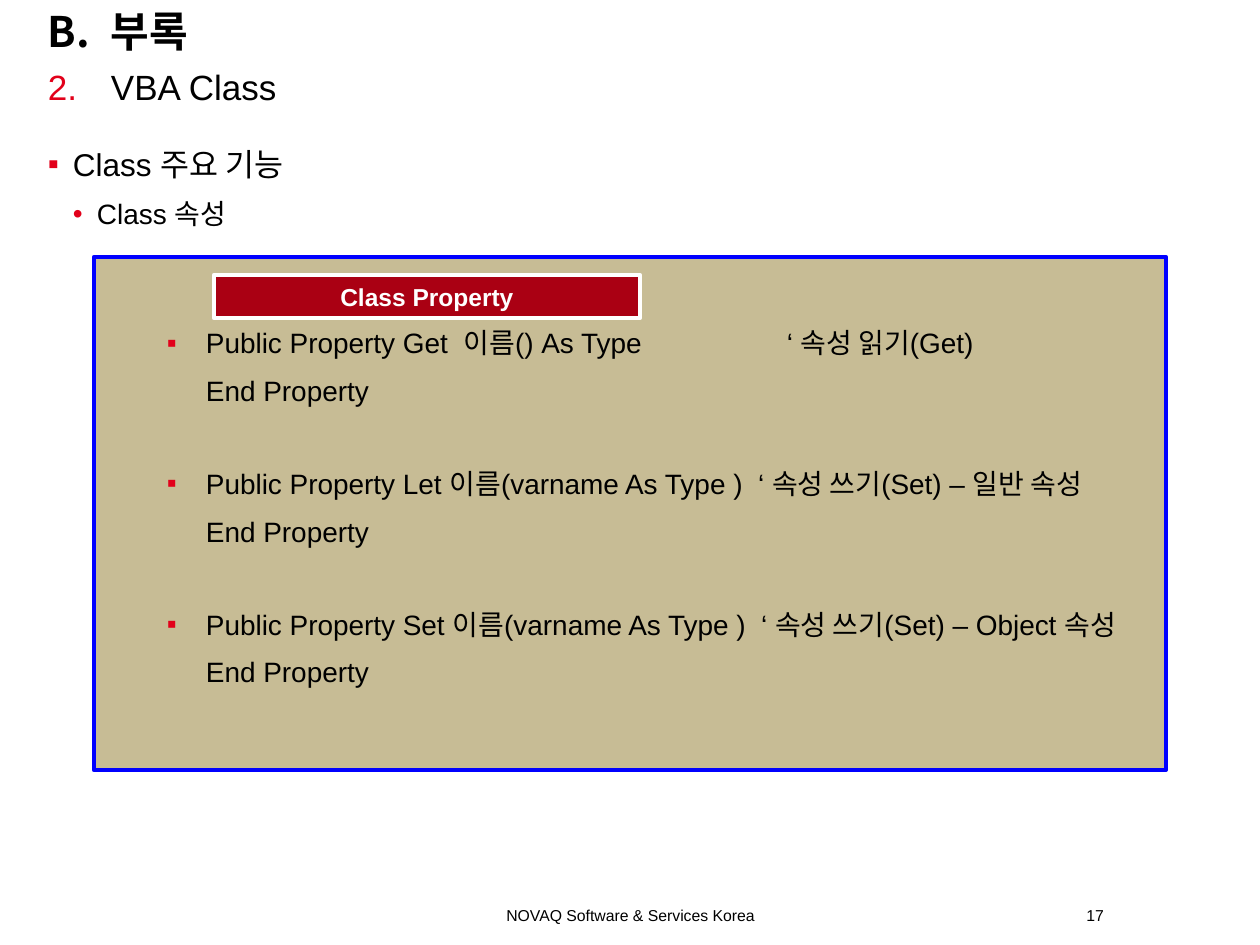
from dataclasses import dataclass

from lxml import etree
from pptx import Presentation
from pptx.dml.color import RGBColor
from pptx.enum.shapes import MSO_SHAPE
from pptx.enum.text import MSO_ANCHOR, PP_ALIGN
from pptx.oxml.ns import qn
from pptx.util import Emu, Pt

RECT = MSO_SHAPE.RECTANGLE
TOP, MIDDLE = MSO_ANCHOR.TOP, MSO_ANCHOR.MIDDLE
LEFT, CENTER, RIGHT = PP_ALIGN.LEFT, PP_ALIGN.CENTER, PP_ALIGN.RIGHT
SCALE = 914400 // 126


@dataclass(frozen=True)
class Theme:
    font: str = "Arial"
    ink: str = "000000"
    white: str = "FFFFFF"
    accent: str = "E2001A"
    tan: str = "C7BC95"
    blue: str = "0000FF"
    red: str = "AA0013"
    title: int = 24
    head: int = 20
    topic: int = 18
    code: int = 16
    label: int = 14
    foot: int = 9
    edge: float = 2.5
    gap: int = 4


THEME = Theme()
CODE = (
    ("Public Property Get  이름() As Type\t‘ 속성 읽기(Get)", 683),
    ("Public Property Let 이름(varname As Type )  ‘ 속성 쓰기(Set) – 일반 속성", None),
    ("Public Property Set 이름(varname As Type )  ‘ 속성 쓰기(Set) – Object 속성", None),
)


def px(n):
    return Emu(n * SCALE)


def rgb(code):
    return RGBColor.from_string(code)


def add_tag(node, tag, **attrs):
    return etree.SubElement(node, qn(tag), {k: str(v) for k, v in attrs.items()})


def set_bullet(props, mark, color):
    """Set a sign, or an automatic number given as (scheme, start)."""
    add_tag(add_tag(props, "a:buClr"), "a:srgbClr", val=color)
    add_tag(props, "a:buFont", typeface=THEME.font)
    if isinstance(mark, tuple):
        add_tag(props, "a:buAutoNum", type=mark[0], startAt=mark[1])
    else:
        add_tag(props, "a:buChar", char=mark)


def add_text(frame, text, size=THEME.code, color=THEME.ink, bold=False,
             align=LEFT, before=THEME.gap, after=THEME.gap, margin=0, hang=0,
             mark=None, tint=THEME.accent, tab=None):
    """Write one paragraph; the first call fills the frame's empty one."""
    first = frame.paragraphs[0]
    para = frame.add_paragraph() if first.runs else first
    para.alignment = align
    para.space_before, para.space_after = Pt(before), Pt(after)
    run = para.add_run()
    run.text = text
    font = run.font
    font.name, font.size, font.bold = THEME.font, Pt(size), bold
    font.color.rgb = rgb(color)
    props = para._p.get_or_add_pPr()
    props.set("marL", str(px(margin)))
    props.set("indent", str(px(-hang)))
    if mark:
        set_bullet(props, mark, tint)
    if tab:
        add_tag(add_tag(props, "a:tabLst"), "a:tab", pos=px(tab), algn="l")


def set_frame(frame, pads, anchor):
    frame.word_wrap = True
    frame.vertical_anchor = anchor
    (frame.margin_left, frame.margin_top,
     frame.margin_right, frame.margin_bottom) = map(px, pads)
    return frame


def add_box(slide, area, pads=(0, 0, 0, 0), anchor=TOP):
    box = slide.shapes.add_textbox(*map(px, area))
    return set_frame(box.text_frame, pads, anchor)


def add_panel(slide, area, fill, edge, pads=(10, 10, 10, 10), anchor=TOP):
    panel = slide.shapes.add_shape(RECT, *map(px, area))
    panel.shadow.inherit = False
    panel.fill.solid()
    panel.fill.fore_color.rgb = rgb(fill)
    panel.line.color.rgb = rgb(edge)
    panel.line.width = Pt(THEME.edge)
    return set_frame(panel.text_frame, pads, anchor)


def add_heads(slide):
    title = add_box(slide, (0, 0, 1211, 59), (48, 5, 0, 0))
    add_text(title, "부록", size=THEME.title, bold=True, before=0, after=0,
             margin=63, hang=63, mark=("alphaUcPeriod", 2), tint=THEME.ink)
    head = add_box(slide, (0, 60, 1211, 59), (48, 5, 0, 0))
    add_text(head, "VBA Class", size=THEME.head, margin=63, hang=63,
             mark=("arabicPeriod", 2))
    body = add_box(slide, (0, 145, 1211, 476), (48, 0, 0, 0))
    add_text(body, "Class 주요 기능", size=THEME.topic, margin=25, hang=25, mark="▪")
    add_text(body, "Class 속성", margin=49, hang=24, mark="•")


def add_code(slide):
    panel = add_panel(slide, (94, 257, 1072, 513), THEME.tan, THEME.blue,
                      pads=(10, 69, 10, 10))
    for text, tab in CODE:
        add_text(panel, text, before=30, margin=102, hang=39, mark="▪", tab=tab)
        add_text(panel, "End Property", margin=102)
    label = add_panel(slide, (214, 275, 426, 43), THEME.red, THEME.white,
                      anchor=MIDDLE)
    add_text(label, "Class Property", size=THEME.label, color=THEME.white,
             bold=True, align=CENTER)


def add_foot(slide):
    for text, left, width, align in (
        ("NOVAQ Software & Services Korea", 335, 591, CENTER),
        ("17", 1065, 39, RIGHT),
    ):
        box = add_box(slide, (left, 905, width, 20), anchor=MIDDLE)
        add_text(box, text, size=THEME.foot, align=align, before=0, after=0)


def main():
    deck = Presentation()
    deck.slide_width, deck.slide_height = px(1260), px(945)
    slide = deck.slides.add_slide(deck.slide_layouts[6])
    add_heads(slide)
    add_foot(slide)
    add_code(slide)
    deck.save("out.pptx")


if __name__ == "__main__":
    main()
